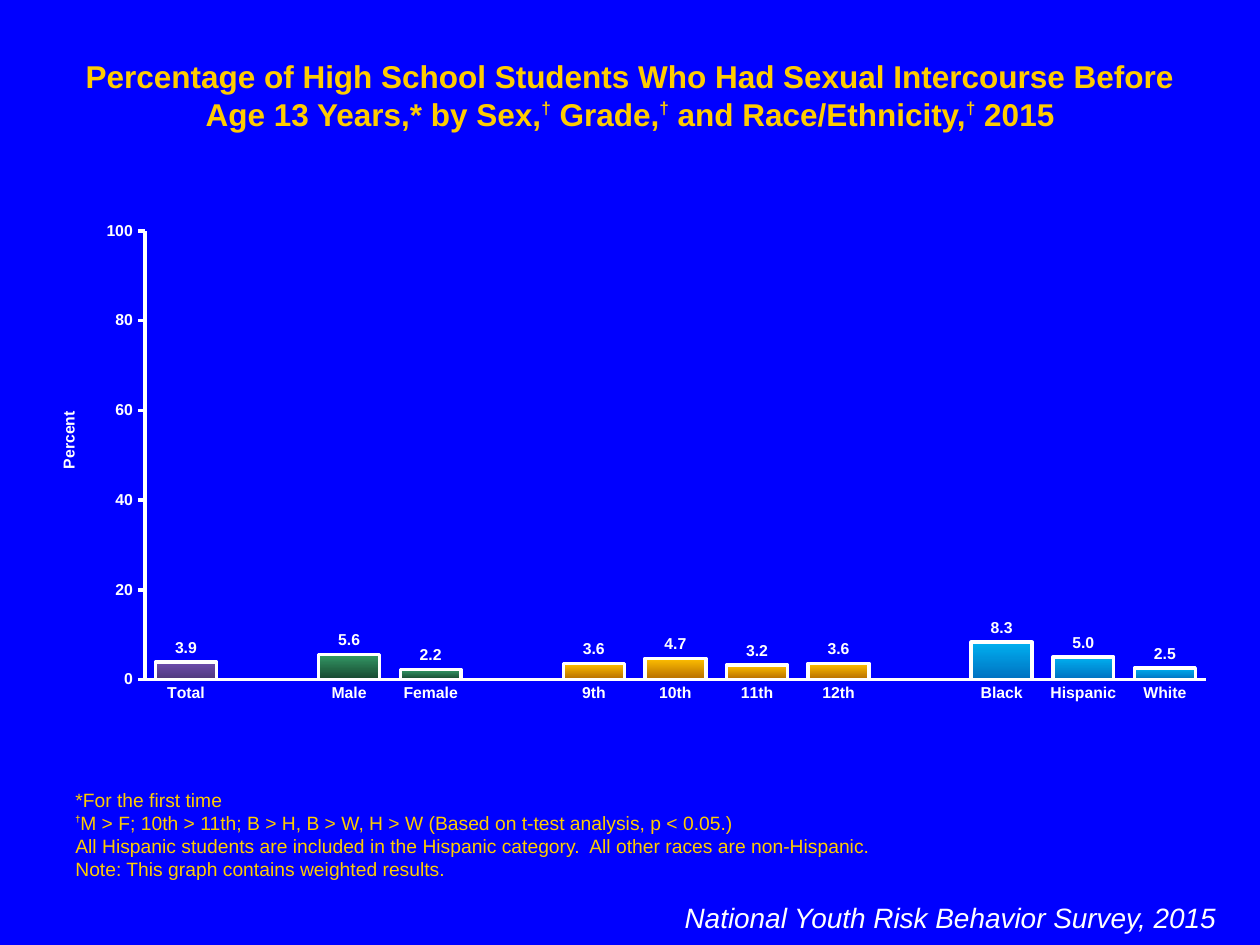
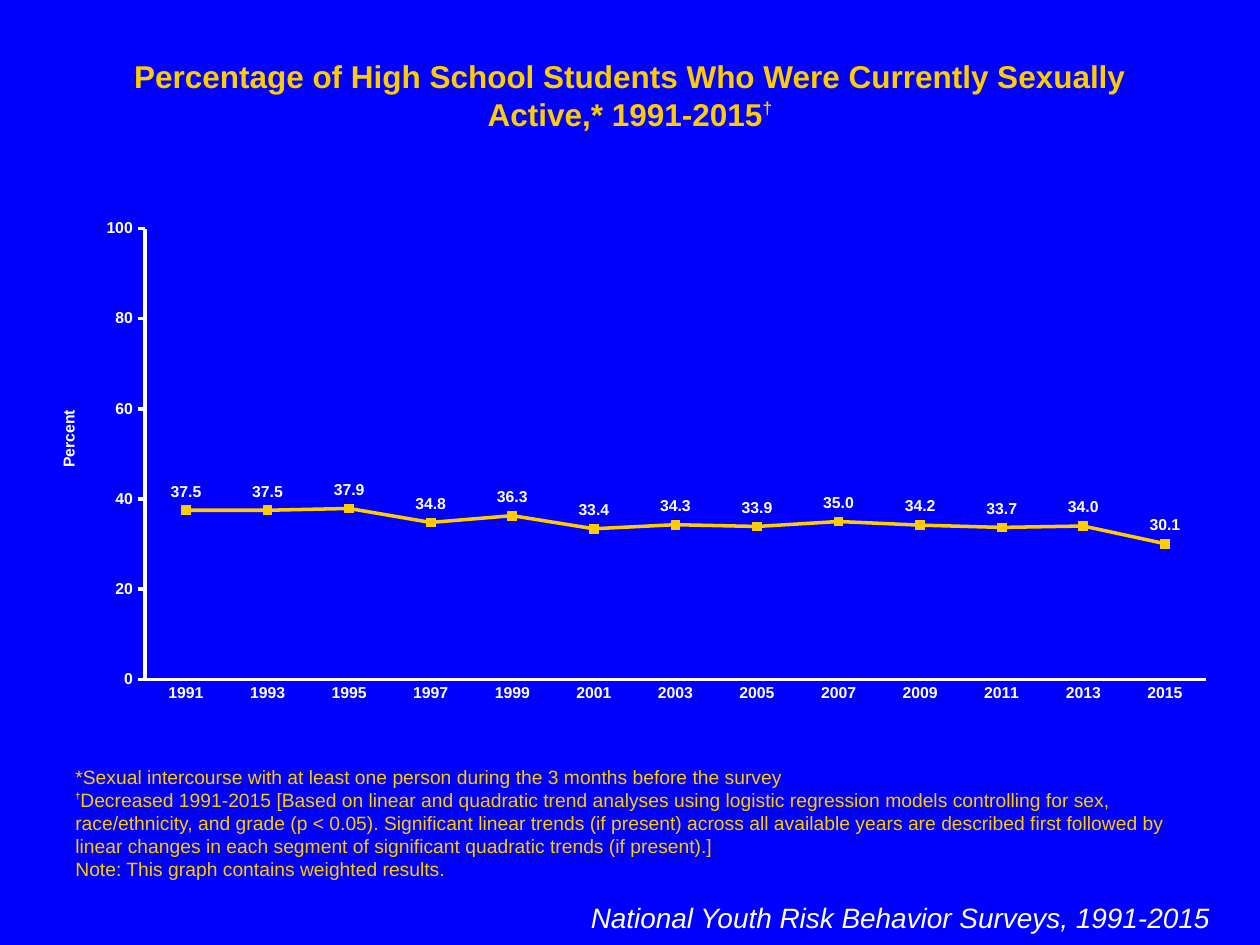
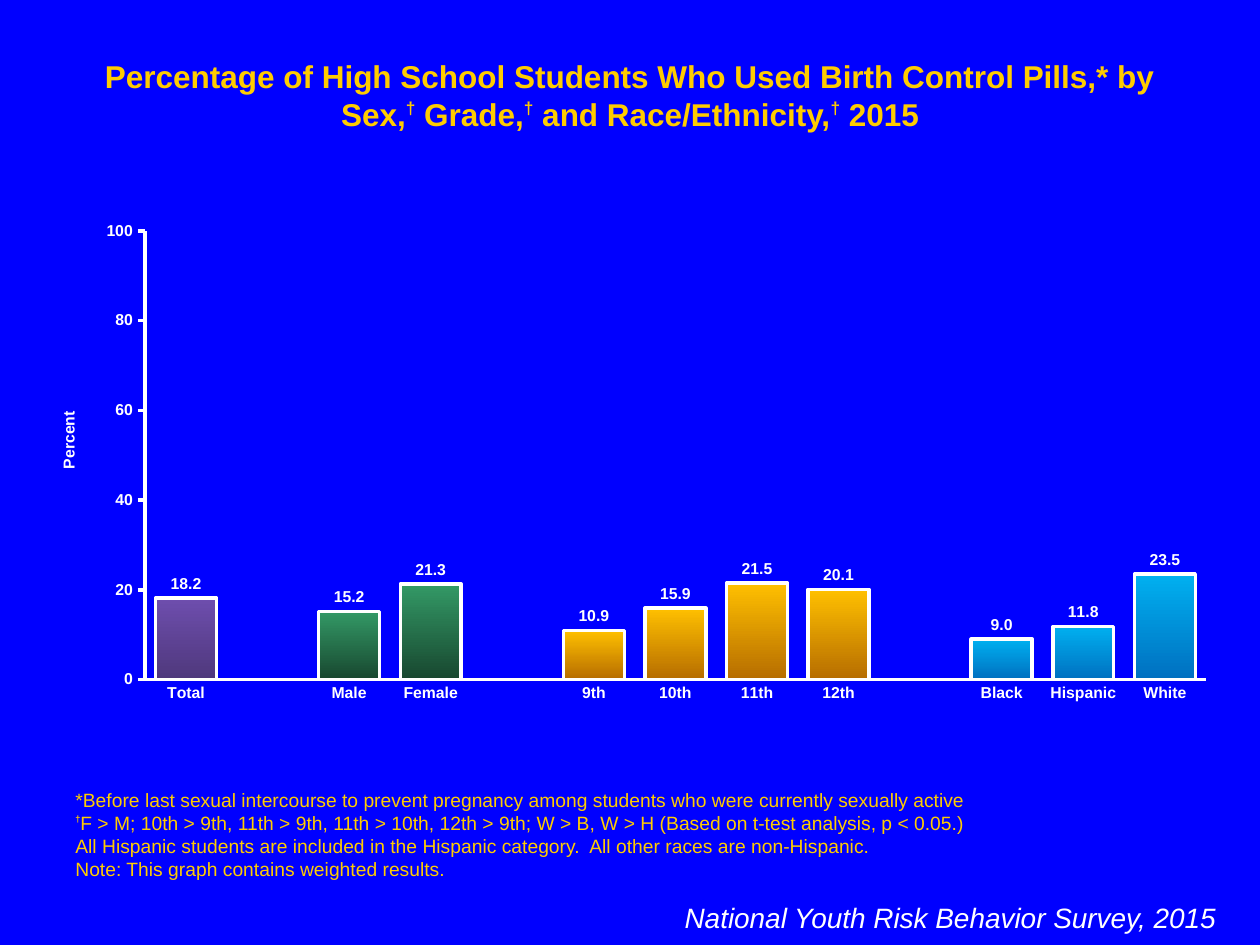
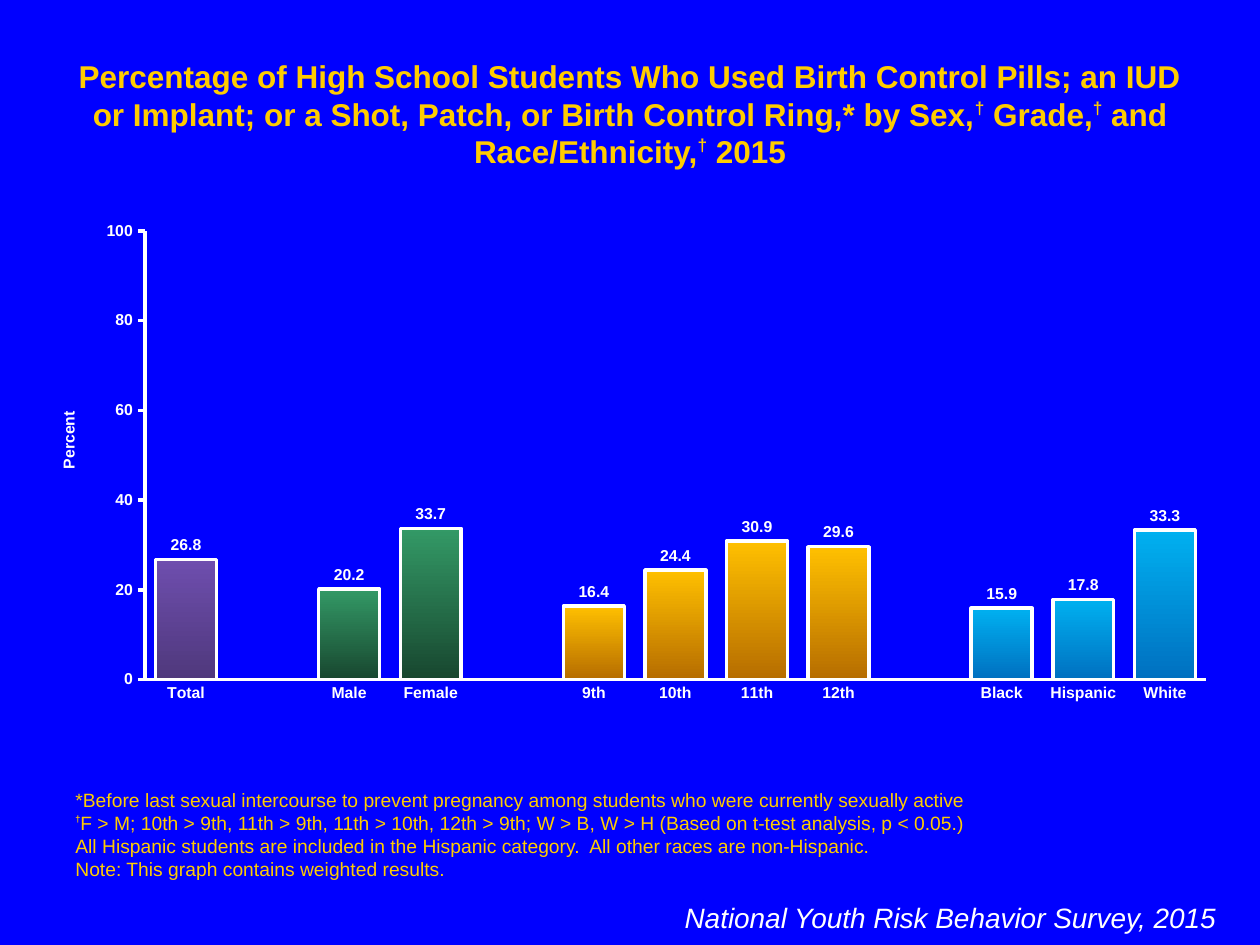
from lxml import etree
from pptx import Presentation
from pptx.chart import data
from pptx.dml import color
from pptx.enum import chart as ch, text
from pptx.oxml import ns
from pptx import util as u

HEX = {"back": "0000FF", "gold": "FFCC00", "white": "FFFFFF"}
FADES = {
    "all": ("6E4EAE", "4F387C"),
    "sex": ("339966", "18472F"),
    "grade": ("FFC000", "B66D00"),
    "race": ("00B0F0", "0070C0"),
}
GROUPS = {
    "all": ["Total"],
    "sex": ["Male", "Female"],
    "grade": ["9th", "10th", "11th", "12th"],
    "race": ["Black", "Hispanic", "White"],
}
COLS, ROWS = 20, 15
WEIGHT = "Note: This graph contains weighted results."
RACES = "All Hispanic students are included in the Hispanic category.  All other races are non-Hispanic."
BEFORE = "*Before last sexual intercourse to prevent pregnancy among students who were currently sexually active"
TESTS = ("†F > M; 10th > 9th, 11th > 9th, 11th > 10th, 12th > 9th; "
         "W > B, W > H (Based on t-test analysis, p < 0.05.)")
SPLIT = " by Sex,† Grade,† and Race/Ethnicity,† 2015"
LEAD = "Percentage of High School Students Who "


def rgb(code):
    return color.RGBColor.from_string(code)


class Deck:
    """Holds the shared style and the slide being built."""

    def __init__(self):
        self.prs = Presentation()
        self.prs.slide_width, self.prs.slide_height = u.Inches(10), u.Inches(7.5)
        fill = self.prs.slide_master.background.fill
        fill.solid()
        fill.fore_color.rgb = rgb(HEX["back"])

    def area(self, col, row, wide, high):
        x, y = self.prs.slide_width / COLS, self.prs.slide_height / ROWS
        return [u.Emu(round(v)) for v in (col * x, row * y, wide * x, high * y)]

    def page(self):
        self.slide = self.prs.slides.add_slide(self.prs.slide_layouts[5])

    def font(self, font, size, ink, bold=False, slant=False):
        font.name, font.size = "Arial", u.Pt(size)
        font.bold, font.italic = bold, slant
        font.color.rgb = rgb(HEX[ink])

    def frame(self, shape, anchor=text.MSO_ANCHOR.TOP):
        frame = shape.text_frame
        frame.word_wrap = True
        frame.vertical_anchor = anchor
        frame.auto_size = text.MSO_AUTO_SIZE.SHAPE_TO_FIT_TEXT
        return frame

    def put(self, para, words, size, ink, bold=False, slant=False, lift=0):
        run = para.add_run()
        run.text = words
        self.font(run.font, size, ink, bold, slant)
        if lift:
            run.font._element.set("baseline", str(lift * 1000))

    def line(self, para, words, size, mark, lift, bold=False):
        for num, part in enumerate(words.split("†")):
            if num:
                self.put(para, "†", mark, "gold", True, lift=lift)
            if part:
                self.put(para, part, size, "gold", bold)

    def title(self, words):
        shape = self.slide.shapes.title
        shape.left, shape.top, shape.width, shape.height = self.area(1, 0.8, 18, 0.8)
        para = self.frame(shape).paragraphs[0]
        para.alignment = text.PP_ALIGN.CENTER
        self.line(para, words, 18, 17, 40, True)

    def notes(self, lines):
        box = self.slide.shapes.add_textbox(*self.area(1, 13.5, 18, 0.58))
        frame = self.frame(box, text.MSO_ANCHOR.BOTTOM)
        for num, words in enumerate(lines):
            para = frame.add_paragraph() if num else frame.paragraphs[0]
            self.line(para, words, 11, 9, 50)

    def credit(self, words, col, wide):
        box = self.slide.shapes.add_textbox(*self.area(col, 14.2, wide, 0.74))
        para = self.frame(box).paragraphs[0]
        para.alignment = text.PP_ALIGN.RIGHT
        self.put(para, words, 16, "white", slant=True)

    def place(self, parent, **spots):
        spot = etree.SubElement(parent, ns.qn("c:manualLayout"))
        for key, val in spots.items():
            etree.SubElement(spot, ns.qn("c:" + key)).set("val", str(val))

    def axis(self, axis, tick):
        axis.has_major_gridlines = False
        axis.major_tick_mark, axis.minor_tick_mark = tick, ch.XL_TICK_MARK.NONE
        self.font(axis.tick_labels.font, 9, "white", True)
        axis.format.line.color.rgb = rgb(HEX["white"])
        axis.format.line.width = u.Pt(2)

    def chart(self, kind, names, vals, row, high):
        feed = data.CategoryChartData()
        feed.categories = names
        feed.add_series("Series 1", vals)
        chart = self.slide.shapes.add_chart(kind, *self.area(0.5, row, 19, high), feed).chart
        chart.has_legend = chart.has_title = False
        self.font(chart.font, 18, "white")
        self.axis(chart.category_axis, ch.XL_TICK_MARK.NONE)
        side = chart.value_axis
        self.axis(side, ch.XL_TICK_MARK.OUTSIDE)
        side.minimum_scale, side.maximum_scale, side.major_unit = 0, 100, 20
        side.tick_labels.number_format = "#,##0"
        side.tick_labels.number_format_is_linked = False
        frame = side.axis_title.text_frame
        self.put(frame.paragraphs[0], "Percent", 9, "white", True)
        frame._txBody.find(ns.qn("a:bodyPr")).set("rot", "-5400000")
        head = side.axis_title._element
        spot = head.find(ns.qn("c:layout"))
        if spot is None:
            spot = etree.Element(ns.qn("c:layout"))
            head.find(ns.qn("c:tx")).addnext(spot)
        self.place(spot, xMode="edge", yMode="edge", x=0.02, y=0.39)
        area = chart._chartSpace.chart.plotArea
        spot = area.find(ns.qn("c:layout"))
        if spot is None:
            spot = etree.Element(ns.qn("c:layout"))
            area.insert(0, spot)
        self.place(spot, layoutTarget="inner", xMode="edge", yMode="edge",
                   x=1.9 / COLS, y=0.54 / ROWS, w=17.72 / COLS, h=13.42 / ROWS)
        plot = chart.plots[0]
        plot.vary_by_categories = False
        plot.has_data_labels = True
        tags = plot.data_labels
        tags.show_value = True
        tags.number_format, tags.number_format_is_linked = "#,##0.0", False
        self.font(tags.font, 9, "white", True)
        return plot

    def bars(self, *sets):
        names, vals, keys = [], [], []
        for (key, group), nums in zip(GROUPS.items(), sets):
            if names:
                names.append("")
                vals.append(None)
                keys.append(None)
            names += group
            vals += nums
            keys += [key] * len(group)
        plot = self.chart(ch.XL_CHART_TYPE.COLUMN_CLUSTERED, names, vals, 3.38, 7.96)
        plot.gap_width, plot.overlap = 34, 100
        plot.data_labels.position = ch.XL_LABEL_POSITION.OUTSIDE_END
        for num, key in enumerate(keys):
            if key:
                look = plot.series[0].points[num].format
                look.fill.gradient()
                look.fill.gradient_angle = 270
                for stop, code in zip(look.fill.gradient_stops, FADES[key]):
                    stop.color.rgb = rgb(code)
                look.line.color.rgb = rgb(HEX["white"])
                look.line.width = u.Pt(2)

    def trend(self, names, vals):
        plot = self.chart(ch.XL_CHART_TYPE.LINE_MARKERS, names, vals, 3.34, 8)
        plot.data_labels.position = ch.XL_LABEL_POSITION.ABOVE
        line = plot.series[0]
        line.smooth = False
        line.format.line.width = u.Pt(2)
        line.marker.style, line.marker.size = ch.XL_MARKER_STYLE.SQUARE, 5
        line.marker.format.fill.solid()
        for paint in (line.format.line.color, line.marker.format.fill.fore_color,
                      line.marker.format.line.color):
            paint.rgb = rgb(HEX["gold"])

    def groups(self, topic, notes, *sets):
        self.page()
        self.title(LEAD + topic + SPLIT)
        self.notes([*notes, RACES, WEIGHT])
        self.credit("National Youth Risk Behavior Survey, 2015", 8.5, 11)
        self.bars(*sets)

    def years(self, topic, notes, names, vals):
        self.page()
        self.title(LEAD + topic)
        self.notes([*notes, WEIGHT])
        self.credit("National Youth Risk Behavior Surveys, 1991-2015", 9.06, 10.34)
        self.trend(names, vals)


def main():
    deck = Deck()
    deck.groups(
        "Had Sexual Intercourse Before Age 13 Years,*",
        ["*For the first time",
         "†M > F; 10th > 11th; B > H, B > W, H > W (Based on t-test analysis, p < 0.05.)"],
        [3.9], [5.6, 2.2], [3.6, 4.7, 3.2, 3.6], [8.3, 5, 2.5])
    deck.years(
        "Were Currently Sexually Active,* 1991-2015†",
        ["*Sexual intercourse with at least one person during the 3 months before the survey",
         "†Decreased 1991-2015 [Based on linear and quadratic trend analyses using logistic "
         "regression models controlling for sex, race/ethnicity, and grade (p < 0.05). "
         "Significant linear trends (if present) across all available years are described "
         "first followed by linear changes in each segment of significant quadratic trends "
         "(if present).]"],
        [str(year) for year in range(1991, 2016, 2)],
        [37.5, 37.5, 37.9, 34.8, 36.3, 33.4, 34.3, 33.9, 35, 34.2, 33.7, 34, 30.1])
    deck.groups(
        "Used Birth Control Pills,*", [BEFORE, TESTS],
        [18.2], [15.2, 21.3], [10.9, 15.9, 21.5, 20.1], [9, 11.8, 23.5])
    deck.groups(
        "Used Birth Control Pills; an IUD or Implant; or a Shot, Patch, or Birth Control Ring,*",
        [BEFORE, TESTS],
        [26.8], [20.2, 33.7], [16.4, 24.4, 30.9, 29.6], [15.9, 17.8, 33.3])
    deck.prs.save("out.pptx")


if __name__ == "__main__":
    main()
